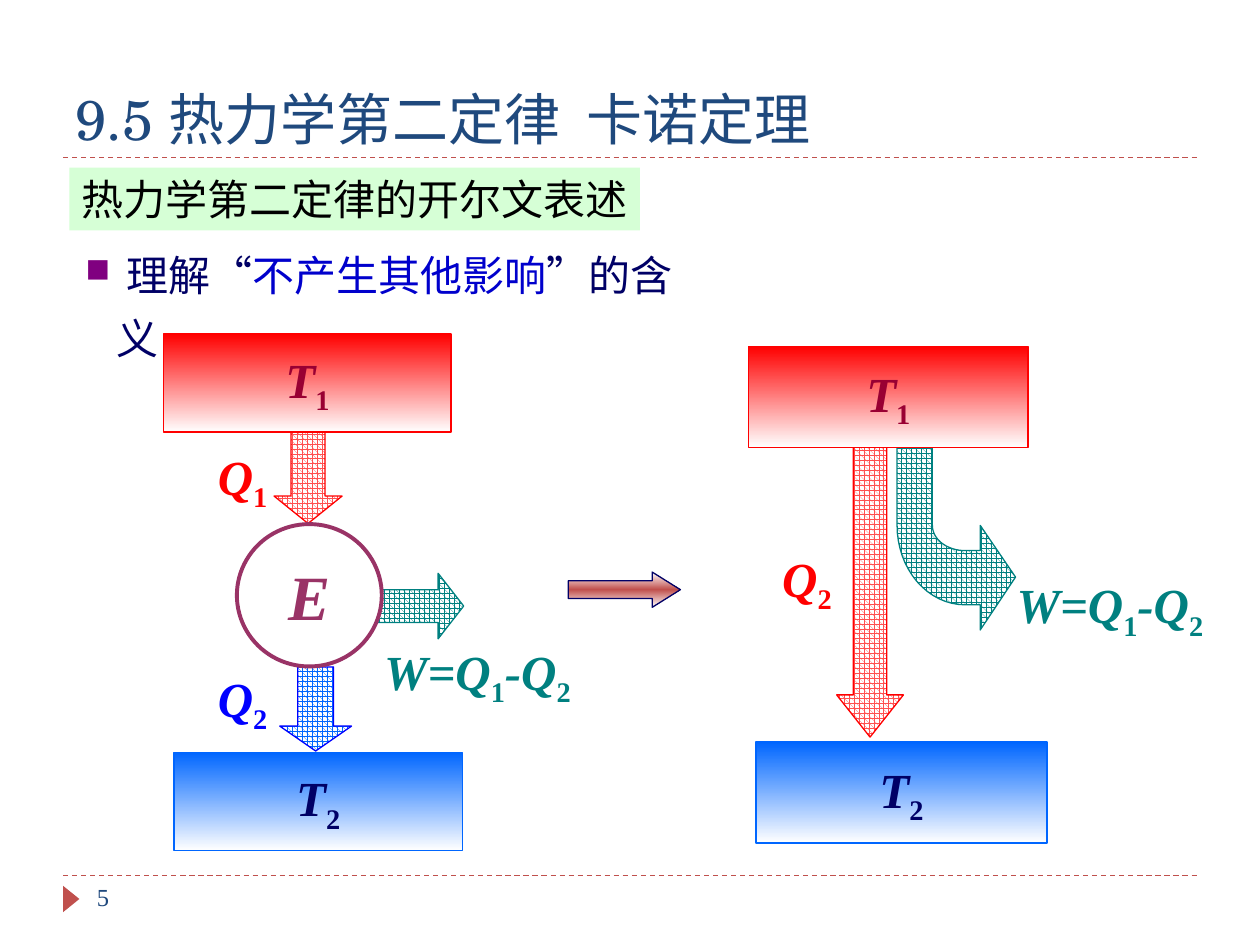
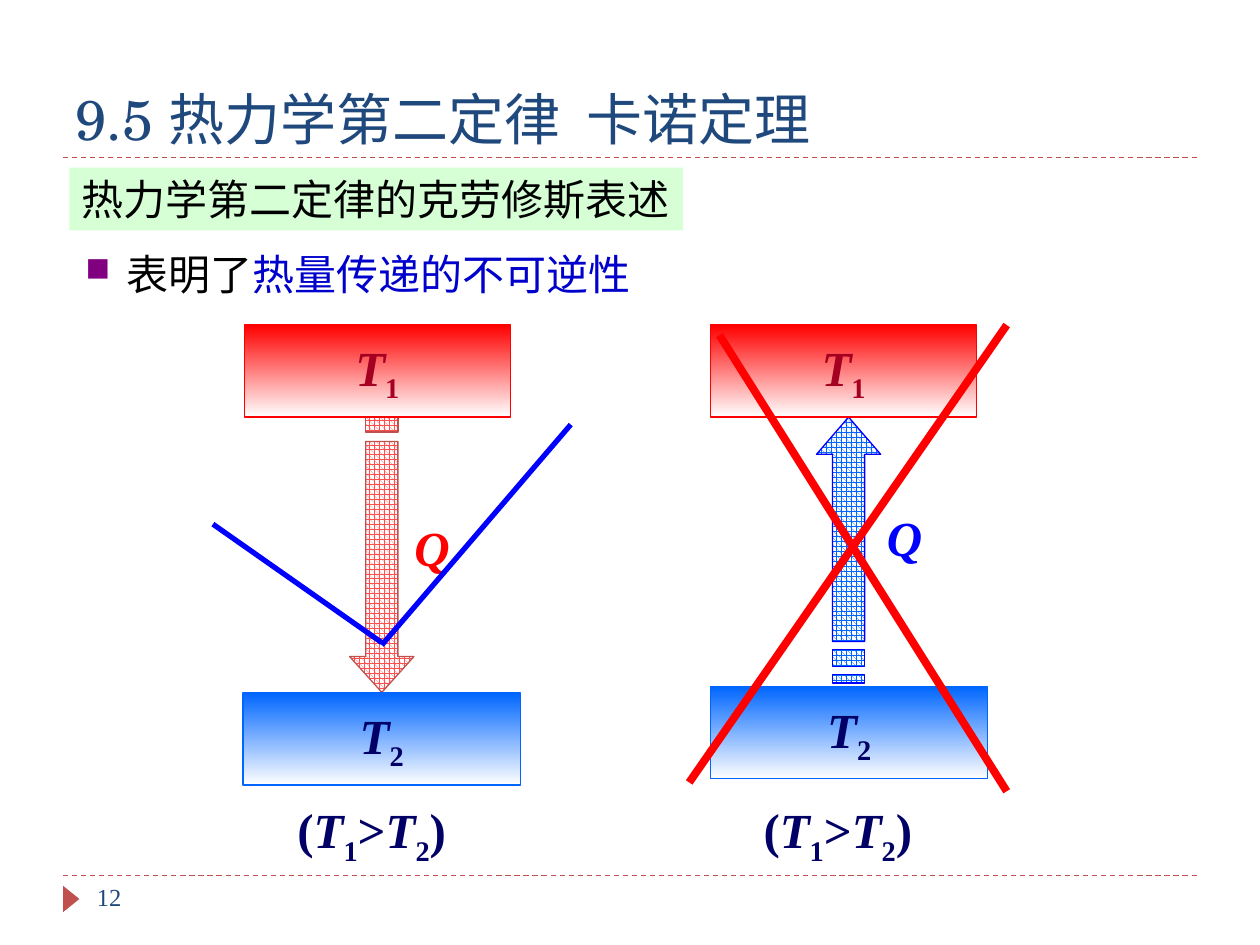
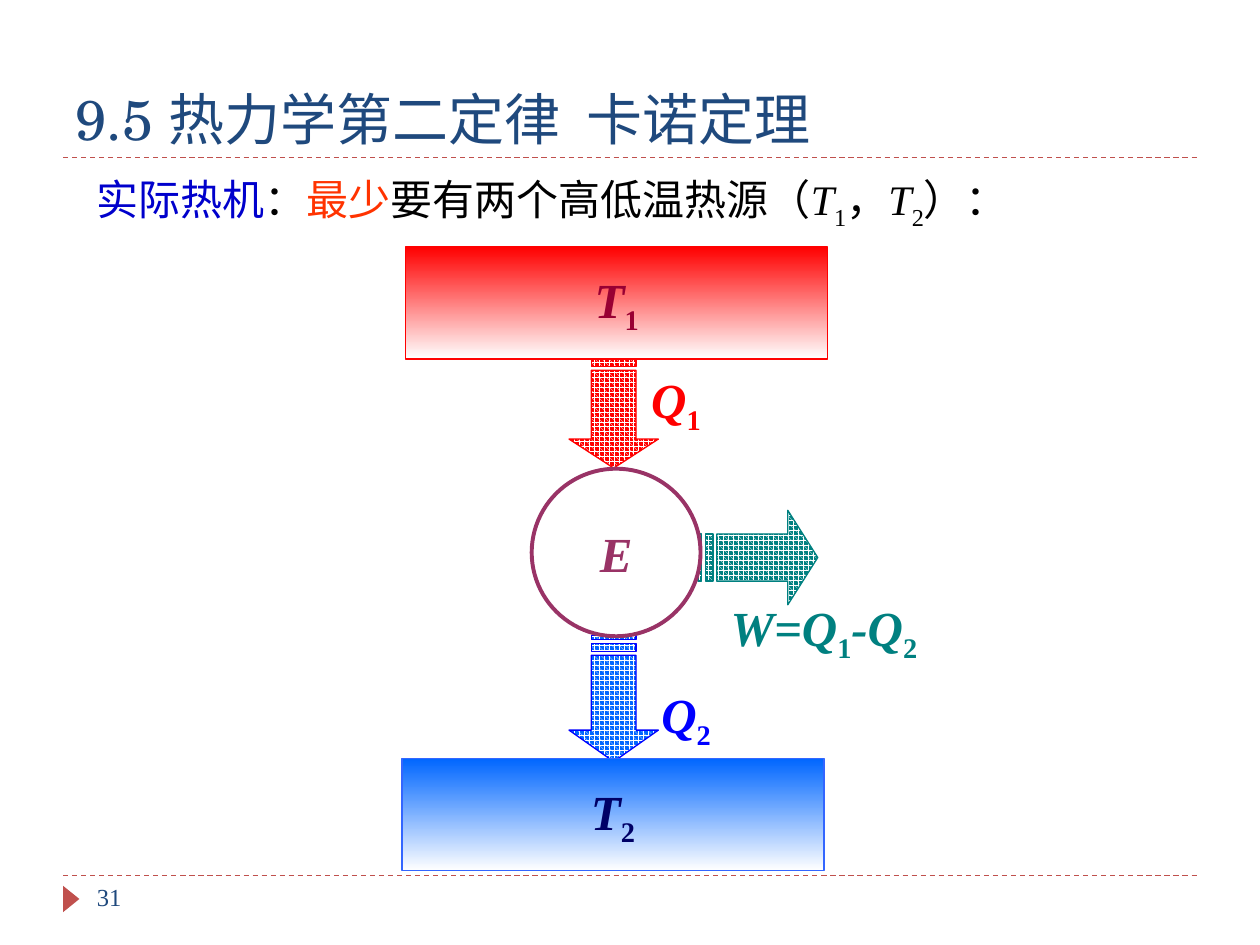
from copy import deepcopy
from dataclasses import dataclass
from math import cos, pi, sin
from typing import NamedTuple, Sequence

from lxml import etree
from pptx import Presentation
from pptx.dml.color import RGBColor
from pptx.enum import dml, shapes, text
from pptx.oxml import ns
from pptx.util import Emu, Inches, Pt

rgb = RGBColor.from_string


@dataclass(frozen=True)
class Theme:
    title: RGBColor = rgb("1F497D")
    accent: RGBColor = rgb("C0504D")
    black: RGBColor = rgb("000000")
    white: RGBColor = rgb("FFFFFF")
    navy: RGBColor = rgb("000066")
    keyword: RGBColor = rgb("0000CC")
    alert: RGBColor = rgb("FF3300")
    bullet: RGBColor = rgb("800080")
    heading: RGBColor = rgb("CCFFCC")
    hot: RGBColor = rgb("FF0000")
    hot_pattern: RGBColor = rgb("FF5050")
    hot_label: RGBColor = rgb("990033")
    hot_label_dark: RGBColor = rgb("A50021")
    cold: RGBColor = rgb("0000FF")
    cold_fill: RGBColor = rgb("0066FF")
    cold_edge: RGBColor = rgb("3366FF")
    work: RGBColor = rgb("008080")
    engine: RGBColor = rgb("993366")
    title_font: str = "TeX Gyre Schola"
    body_font: str = "Times New Roman"
    title_size: float = 32
    body_size: float = 24
    engine_size: float = 36
    label_size: float = 28
    page_size: float = 14
    thin: float = 0.75


THEME = Theme()


class Box(NamedTuple):
    """Left, top, width and height in inches."""
    left: float
    top: float
    width: float
    height: float

    def lengths(self) -> list[Emu]:
        return [Inches(value) for value in self]


class Point(NamedTuple):
    x: float
    y: float


class Run(NamedTuple):
    text: str
    color: RGBColor | None = None
    italic: bool = False
    subscript: bool = False


def symbol(letter: str, index: str) -> list[Run]:
    return [Run(letter, italic=True), Run(index, subscript=True)]


T1, T2 = symbol("T", "1"), symbol("T", "2")
Q1, Q2 = symbol("Q", "1"), symbol("Q", "2")
Q = [Run("Q", italic=True)]
E = [Run("E", italic=True)]
WORK = symbol("W=Q", "1") + symbol("-Q", "2")
T1_ABOVE_T2 = [Run("("), *T1, Run(">"), *T2, Run(")")]


def write(shape, runs: Sequence[Run], *, size: float = THEME.label_size,
          color: RGBColor = THEME.black, font: str = THEME.body_font,
          bold: bool = False, align=text.PP_ALIGN.LEFT,
          anchor=text.MSO_ANCHOR.TOP, wrap: bool = True,
          spacing: float | None = None, bulleted: bool = False) -> None:
    frame = shape.text_frame
    frame.word_wrap = wrap
    frame.vertical_anchor = anchor
    paragraph = frame.paragraphs[0]
    if bulleted:
        add_bullet(paragraph)
    paragraph.alignment = align
    if spacing:
        paragraph.line_spacing = spacing
    for part in runs:
        run = paragraph.add_run()
        run.text = part.text
        run.font.size = Pt(size)
        run.font.name = font
        run.font.bold = bold
        run.font.italic = part.italic
        run.font.color.rgb = part.color or color
        if part.subscript:
            run.font._element.set("baseline", "-25000")


def add_bullet(paragraph) -> None:
    properties = paragraph._p.get_or_add_pPr()
    properties.set("marL", str(Inches(0.25)))
    properties.set("indent", str(Inches(-0.25)))
    color = etree.SubElement(properties, ns.qn("a:buClr"))
    etree.SubElement(color, ns.qn("a:srgbClr"), val=str(THEME.bullet))
    etree.SubElement(properties, ns.qn("a:buSzPct"), val="80000")
    etree.SubElement(properties, ns.qn("a:buChar"), char="■")


def add_text(slide, box: Box, runs: Sequence[Run], *, grow: bool = True, **style) -> None:
    shape = slide.shapes.add_textbox(*box.lengths())
    write(shape, runs, **style)
    if grow:
        shape.text_frame.auto_size = text.MSO_AUTO_SIZE.SHAPE_TO_FIT_TEXT


def add_label(slide, box: Box, runs: Sequence[Run], color: RGBColor, **style) -> None:
    add_text(slide, box, runs, color=color, bold=True, **style)


def set_edge(shape, color: RGBColor | None, width: float = THEME.thin) -> None:
    shape.shadow.inherit = False
    if color is None:
        shape.line.fill.background()
    else:
        shape.line.color.rgb = color
        shape.line.width = Pt(width)


def add_solid(slide, kind, box: Box, fill: RGBColor,
              edge: RGBColor | None = None, width: float = THEME.thin):
    shape = slide.shapes.add_shape(kind, *box.lengths())
    shape.fill.solid()
    shape.fill.fore_color.rgb = fill
    set_edge(shape, edge, width)
    return shape


def add_gradient(slide, kind, box: Box, colors: Sequence[RGBColor], edge: RGBColor):
    """Draw a shape whose colours run evenly from top to bottom."""
    shape = slide.shapes.add_shape(kind, *box.lengths())
    fill = shape.fill
    fill.gradient()
    fill.gradient_angle = 270
    stop_list = shape._element.find(f".//{ns.qn('a:gsLst')}")
    while len(stop_list) < len(colors):
        stop_list.insert(1, deepcopy(stop_list[0]))
    for index, (stop, color) in enumerate(zip(fill.gradient_stops, colors)):
        stop.position = index / (len(colors) - 1)
        stop.color.rgb = color
    set_edge(shape, edge)
    return shape


def add_line(slide, start: Point, end: Point, color: RGBColor, width: float, dash=None) -> None:
    line = slide.shapes.add_connector(
        shapes.MSO_CONNECTOR.STRAIGHT, *(Inches(v) for v in (*start, *end)))
    line.line.color.rgb = color
    line.line.width = Pt(width)
    if dash:
        line.line.dash_style = dash
    etree.SubElement(line._element.spPr, ns.qn("a:effectLst"))


def add_outline(slide, contours: Sequence[Sequence[Point]], edge: RGBColor,
                fore: RGBColor, back: RGBColor):
    """Draw closed contours as one shape with a sphere pattern."""
    scaled = [[(Inches(x), Inches(y)) for x, y in contour] for contour in contours]
    builder = slide.shapes.build_freeform(*scaled[0][0])
    for index, (first, *rest) in enumerate(scaled):
        if index:
            builder.move_to(*first)
        builder.add_line_segments(rest, close=True)
    shape = builder.convert_to_shape()
    shape.fill.patterned()
    shape.fill.pattern = dml.MSO_PATTERN.SPHERE
    shape.fill.fore_color.rgb = fore
    shape.fill.back_color.rgb = back
    set_edge(shape, edge)
    return shape


def add_striped_arrow(slide, box: Box, edge: RGBColor, fore: RGBColor,
                      back: RGBColor = THEME.white, *, head: float = 0.75,
                      rotation: float = 0) -> None:
    """Draw a right arrow with two tail stripes; head is where its head starts."""
    def contour(*fractions: tuple[float, float]) -> list[Point]:
        return [Point(box.left + u * box.width, box.top + v * box.height)
                for u, v in fractions]

    def stripe(start: float, end: float) -> list[Point]:
        return contour((start, 0.25), (start, 0.75), (end, 0.75), (end, 0.25))

    shaft = 5 / 32
    body = contour((head, 0), (head, 0.25), (shaft, 0.25), (shaft, 0.75),
                   (head, 0.75), (head, 1), (1, 0.5))
    arrow = add_outline(slide, [body, stripe(1 / 16, 1 / 8), stripe(0, 1 / 32)],
                        edge, fore, back)
    arrow.rotation = rotation


def add_bent_arrow(slide) -> None:
    """Draw the work arrow that leaves the hot reservoir and turns right."""
    steps = 16
    bend = Point(7.66, 4.17)

    def arc(radius_x: float, radius_y: float) -> list[Point]:
        angles = [pi / 2 * (1 + step / steps) for step in range(steps + 1)]
        return [Point(bend.x + radius_x * cos(a), bend.y + radius_y * sin(a)) for a in angles]

    head = [Point(7.78, 4.37), Point(7.78, 4.17), Point(8.06, 4.58),
            Point(7.78, 5), Point(7.78, 4.8)]
    shaft_top = [Point(7.12, 3.52), Point(7.4, 3.52)]
    contour = head + arc(0.54, 0.63) + shaft_top + arc(0.26, 0.2)[::-1]
    add_outline(slide, [contour], THEME.work, THEME.work, THEME.white)


def add_reservoir(slide, box: Box, runs: Sequence[Run], fill: RGBColor,
                  color: RGBColor, edge: RGBColor | None = None) -> None:
    shape = add_gradient(slide, shapes.MSO_SHAPE.RECTANGLE, box,
                         [fill, THEME.white], edge or fill)
    write(shape, runs, color=color, bold=True, wrap=False,
          align=text.PP_ALIGN.CENTER, anchor=text.MSO_ANCHOR.MIDDLE)


def add_hot(slide, box: Box, color: RGBColor = THEME.hot_label) -> None:
    add_reservoir(slide, box, T1, THEME.hot, color)


def add_cold(slide, box: Box, edge: RGBColor | None = None) -> None:
    add_reservoir(slide, box, T2, THEME.cold_fill, THEME.navy, edge)


def add_engine(slide, box: Box, size: float) -> None:
    circle = add_solid(slide, shapes.MSO_SHAPE.OVAL, box, THEME.white, THEME.engine, 2.25)
    write(circle, E, size=size, color=THEME.engine, bold=True, wrap=False,
          align=text.PP_ALIGN.CENTER, anchor=text.MSO_ANCHOR.MIDDLE)


def add_heading(slide, words: str, width: float) -> None:
    band = add_solid(slide, shapes.MSO_SHAPE.RECTANGLE, Box(0.55, 1.33, width, 0.5),
                     THEME.heading)
    color = band._element.spPr.find(f"{ns.qn('a:solidFill')}/{ns.qn('a:srgbClr')}")
    etree.SubElement(color, ns.qn("a:alpha"), val="80000")
    write(band, [Run(words)], size=THEME.body_size, wrap=False,
          anchor=text.MSO_ANCHOR.MIDDLE)


def add_page(deck, number: int):
    """Add a slide with the shared rules, title and page number."""
    slide = deck.slides.add_slide(deck.slide_layouts[6])
    for y in (6.95, 1.25):
        add_line(slide, Point(0.5, y), Point(9.5, y), THEME.accent, THEME.thin,
                 dml.MSO_LINE.DASH)
    marker = add_solid(slide, shapes.MSO_SHAPE.ISOSCELES_TRIANGLE,
                       Box(0.46, 7.07, 0.21, 0.13), THEME.accent)
    marker.rotation = 90
    add_text(slide, Box(0.5, 0.25, 9, 1), [Run("9.5 热力学第二定律  卡诺定理")], grow=False,
             size=THEME.title_size, color=THEME.title, font=THEME.title_font,
             anchor=text.MSO_ANCHOR.BOTTOM)
    add_text(slide, Box(0.67, 6.95, 2.17, 0.4), [Run(str(number))], grow=False,
             size=THEME.page_size, color=THEME.title)
    return slide


def build_kelvin(deck) -> None:
    slide = add_page(deck, 5)
    add_text(slide, Box(0.58, 1.83, 5.08, 0.6),
             [Run(" 理解“"), Run("不产生其他影响", THEME.keyword), Run("”的含义")],
             size=THEME.body_size, color=THEME.navy, spacing=1.25, bulleted=True)

    label = {"wrap": False, "spacing": 1.25}
    add_striped_arrow(slide, Box(2.87, 4.55, 0.81, 0.52), THEME.work, THEME.work)
    add_label(slide, Box(2.95, 4.91, 1.73, 0.68), WORK, THEME.work, **label)
    add_striped_arrow(slide, Box(2.01, 3.45, 0.87, 0.54), THEME.hot,
                      THEME.hot_pattern, rotation=90)
    add_label(slide, Box(1.63, 5.12, 0.61, 0.68), Q2, THEME.cold, **label)
    add_label(slide, Box(1.63, 3.36, 0.61, 0.68), Q1, THEME.hot, **label)
    add_striped_arrow(slide, Box(2.11, 5.28, 0.79, 0.57), THEME.cold,
                      THEME.cold_fill, rotation=90)
    add_engine(slide, Box(1.88, 4.16, 1.15, 1.13), THEME.engine_size)
    add_hot(slide, Box(1.3, 2.65, 2.28, 0.78))
    add_cold(slide, Box(1.38, 5.97, 2.29, 0.78))

    add_striped_arrow(slide, Box(5.51, 4.19, 2.79, 0.53), THEME.hot,
                      THEME.hot_pattern, head=0.88, rotation=90)
    add_cold(slide, Box(6, 5.89, 2.31, 0.8))
    add_bent_arrow(slide)
    add_hot(slide, Box(5.94, 2.75, 2.22, 0.8))
    add_label(slide, Box(6.11, 4.17, 0.69, 0.68), Q2, THEME.hot, spacing=1.25)
    add_label(slide, Box(7.97, 4.38, 1.73, 0.68), WORK, THEME.work, **label)

    implication = add_gradient(slide, shapes.MSO_SHAPE.RIGHT_ARROW,
                               Box(4.51, 4.54, 0.89, 0.28),
                               [THEME.white, THEME.accent, THEME.white], THEME.navy)
    implication.adjustments[1] = 0.8
    add_heading(slide, "热力学第二定律的开尔文表述", 4.53)


def build_clausius(deck) -> None:
    slide = add_page(deck, 12)
    add_heading(slide, "热力学第二定律的克劳修斯表述", 4.87)
    add_text(slide, Box(0.58, 1.82, 4.92, 0.6),
             [Run(" 表明了"), Run("热量传递的不可逆性", THEME.keyword)],
             size=THEME.body_size, spacing=1.25, bulleted=True)

    add_striped_arrow(slide, Box(1.85, 4.06, 2.36, 0.51), THEME.accent,
                      THEME.hot_pattern, head=0.88, rotation=90)
    add_cold(slide, Box(1.93, 5.5, 2.2, 0.73))
    add_label(slide, Box(3.19, 4.06, 0.66, 0.57), Q, THEME.hot)
    add_striped_arrow(slide, Box(5.68, 4.11, 2.11, 0.51), THEME.cold,
                      THEME.cold_fill, head=0.86, rotation=270)
    add_cold(slide, Box(5.64, 5.45, 2.2, 0.73))
    add_label(slide, Box(6.94, 3.98, 0.66, 0.57), Q, THEME.cold)
    for left in (1.94, 5.64):
        add_hot(slide, Box(left, 2.58, 2.11, 0.73), THEME.hot_label_dark)
        add_label(slide, Box(left - 0.09, 6.3, 2.2, 0.57), T1_ABOVE_T2, THEME.navy,
                  align=text.PP_ALIGN.CENTER)

    cross = [(Point(7.99, 2.58), Point(5.47, 6.21)), (Point(5.71, 2.66), Point(7.99, 6.28))]
    tick = [(Point(1.69, 4.16), Point(3.03, 5.1)), (Point(3.03, 5.12), Point(4.53, 3.37))]
    for strokes, color, width in ((cross, THEME.hot, 4.5), (tick, THEME.cold, 3)):
        for start, end in strokes:
            add_line(slide, start, end, color, width)


def build_heat_engine(deck) -> None:
    slide = add_page(deck, 31)
    add_text(slide, Box(0.67, 1.33, 7.67, 0.5),
             [Run("实际热机", THEME.keyword), Run("："), Run("最少", THEME.alert),
              Run("要有两个高低温热源（"), *T1, Run("，"), *T2, Run("）：")],
             size=THEME.body_size)

    add_striped_arrow(slide, Box(5.54, 4.05, 0.95, 0.75), THEME.work, THEME.white, THEME.work)
    add_label(slide, Box(5.7, 4.69, 1.73, 0.57), WORK, THEME.work, wrap=False)
    add_striped_arrow(slide, Box(4.41, 2.9, 0.92, 0.71), THEME.hot, THEME.white,
                      THEME.hot, rotation=90)
    add_label(slide, Box(5.15, 5.38, 0.61, 0.57), Q2, THEME.cold, wrap=False)
    add_label(slide, Box(5.07, 2.88, 0.61, 0.57), Q1, THEME.hot, wrap=False)
    add_striped_arrow(slide, Box(4.37, 5.19, 1, 0.71), THEME.cold, THEME.white,
                      THEME.cold_fill, rotation=90)
    add_engine(slide, Box(4.22, 3.72, 1.34, 1.33), THEME.label_size)
    add_hot(slide, Box(3.22, 1.96, 3.35, 0.89))
    add_cold(slide, Box(3.19, 6.02, 3.35, 0.89), THEME.cold_edge)


def main() -> None:
    deck = Presentation()
    deck.slide_width, deck.slide_height = Inches(10), Inches(7.5)
    build_kelvin(deck)
    build_clausius(deck)
    build_heat_engine(deck)
    deck.save("out.pptx")


if __name__ == "__main__":
    main()
